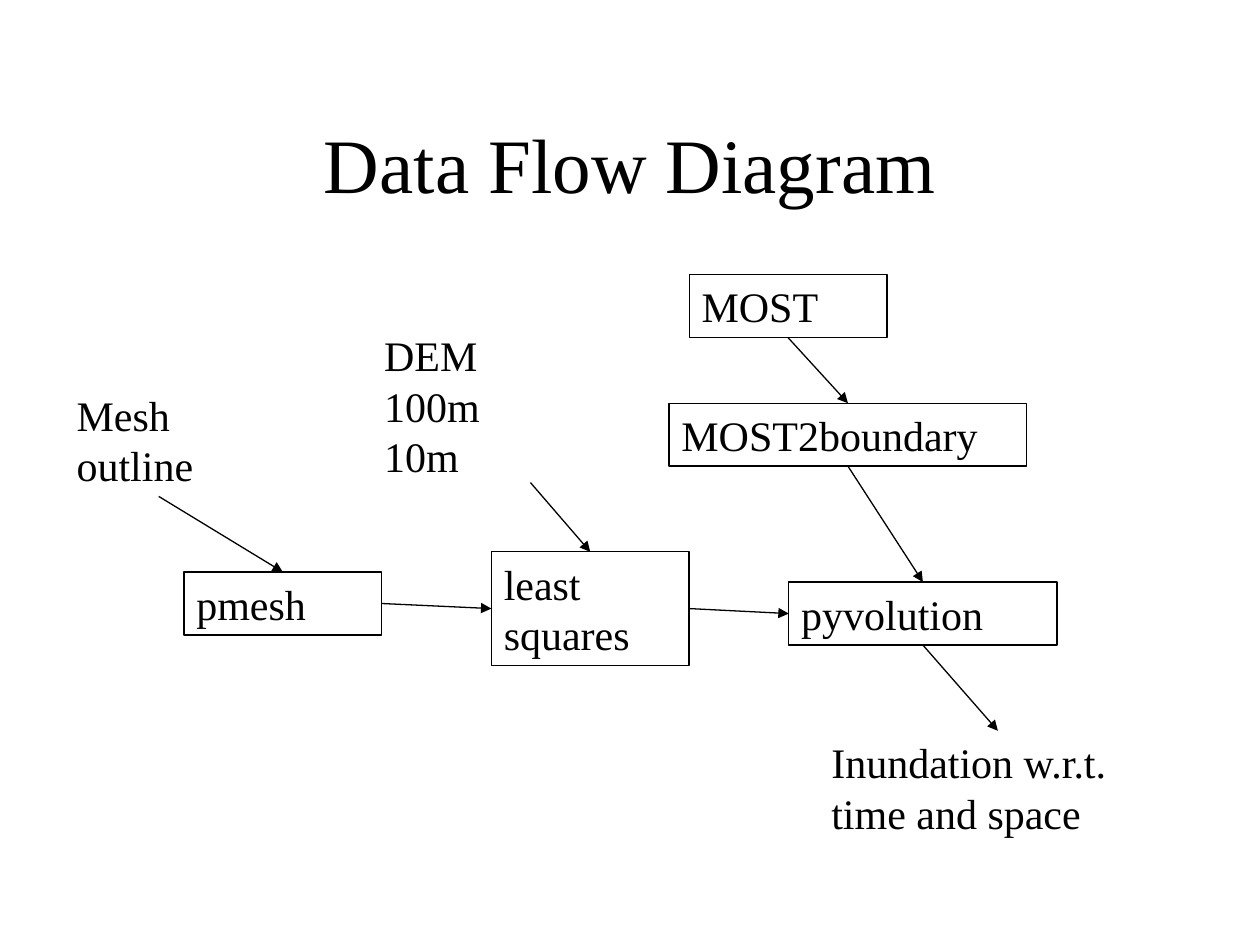
from dataclasses import dataclass

from lxml.etree import SubElement
from pptx import Presentation
from pptx.dml.color import RGBColor
from pptx.enum.shapes import MSO_CONNECTOR, MSO_SHAPE
from pptx.enum.text import MSO_ANCHOR, MSO_AUTO_SIZE, PP_ALIGN
from pptx.oxml.ns import qn
from pptx.util import Inches, Pt


@dataclass(frozen=True)
class Theme:
    """Fonts, sizes and colours of the slide."""
    font: str = "Times New Roman"
    ink: RGBColor = RGBColor(0, 0, 0)
    title_size: Pt = Pt(44)
    body_size: Pt = Pt(24)
    line_width: Pt = Pt(0.75)
    paragraph_gap: Pt = Pt(15)


THEME = Theme()
TOP, LEFT, BOTTOM, RIGHT = range(4)

PROCESSES = {
    "pmesh": (1.46, 4.54, 1.57, 0.5),
    "least squares": (3.9, 4.38, 1.57, 0.9),
    "pyvolution": (6.26, 4.62, 2.13, 0.5),
    "MOST2boundary": (5.31, 3.2, 2.84, 0.5),
    "MOST": (5.47, 2.18, 1.57, 0.5),
}
LABELS = {
    "Mesh outline": (0.51, 3.04, 1.5, 0.9),
    "Inundation w.r.t. time and space": (6.5, 5.8, 2.84, 0.9),
}
FLOWS = [
    ("pmesh", RIGHT, "least squares", LEFT),
    ("least squares", RIGHT, "pyvolution", LEFT),
    ("MOST2boundary", BOTTOM, "pyvolution", TOP),
    ("MOST", BOTTOM, "MOST2boundary", TOP),
    ("Mesh outline", BOTTOM, "pmesh", TOP),
    ("pyvolution", BOTTOM, "Inundation w.r.t. time and space", TOP),
]


def to_inches(box):
    """Convert plain numbers to lengths."""
    return [Inches(value) for value in box]


def format_text(text_frame, text, size, alignment=PP_ALIGN.LEFT, gap=Pt(0)):
    """Fill a text frame and format its runs."""
    text_frame.text = text
    text_frame.word_wrap = True
    for paragraph in text_frame.paragraphs:
        paragraph.alignment = alignment
        paragraph.space_before = gap
        for run in paragraph.runs:
            run.font.name = THEME.font
            run.font.size = size
            run.font.color.rgb = THEME.ink


def add_title(slide, text, box):
    """Move and format the title placeholder."""
    title = slide.shapes.title
    title.left, title.top, title.width, title.height = to_inches(box)
    format_text(title.text_frame, text, THEME.title_size, PP_ALIGN.CENTER)
    title.text_frame.vertical_anchor = MSO_ANCHOR.MIDDLE
    title.text_frame.auto_size = MSO_AUTO_SIZE.NONE


def add_label(slide, text, box, gap=THEME.paragraph_gap):
    """Add a plain text label for data entering or leaving."""
    label = slide.shapes.add_textbox(*to_inches(box))
    format_text(label.text_frame, text, THEME.body_size, gap=gap)
    return label


def add_process(slide, text, box):
    """Add an outlined process box."""
    process = slide.shapes.add_shape(MSO_SHAPE.RECTANGLE, *to_inches(box))
    process.shadow.inherit = False
    process.fill.background()
    process.line.color.rgb = THEME.ink
    process.line.width = THEME.line_width
    process.text_frame.vertical_anchor = MSO_ANCHOR.TOP
    format_text(process.text_frame, text, THEME.body_size, gap=THEME.paragraph_gap)
    return process


def add_arrow(slide, start=(0, 0), end=(0, 0)):
    """Add a straight arrow between two points."""
    arrow = slide.shapes.add_connector(
        MSO_CONNECTOR.STRAIGHT, *to_inches(start), *to_inches(end))
    arrow.line.color.rgb = THEME.ink
    arrow.line.width = THEME.line_width
    SubElement(arrow.line._get_or_add_ln(), qn("a:tailEnd"), type="triangle")
    SubElement(arrow._element.spPr, qn("a:effectLst"))
    return arrow


def add_diagram(slide):
    """Add the processes, their data labels and the flows joining them."""
    nodes = {text: add_process(slide, text, box) for text, box in PROCESSES.items()}
    nodes |= {text: add_label(slide, text, box) for text, box in LABELS.items()}
    add_label(slide, "DEM\n100m\n10m", (2.95, 2.57, 1.81, 1.3), gap=Pt(0))
    for source, source_side, target, target_side in FLOWS:
        arrow = add_arrow(slide)
        arrow.begin_connect(nodes[source], source_side)
        arrow.end_connect(nodes[target], target_side)
    elevation_arrow = add_arrow(slide, (4.21, 3.83), (4.69, 4.38))
    elevation_arrow.end_connect(nodes["least squares"], TOP)


def main():
    """Build and save the presentation."""
    presentation = Presentation()
    presentation.slide_width, presentation.slide_height = Inches(10), Inches(7.5)
    slide = presentation.slides.add_slide(presentation.slide_layouts[5])
    add_title(slide, "Data Flow Diagram", (0.75, 0.67, 8.5, 1.25))
    add_diagram(slide)
    presentation.save("out.pptx")


if __name__ == "__main__":
    main()
